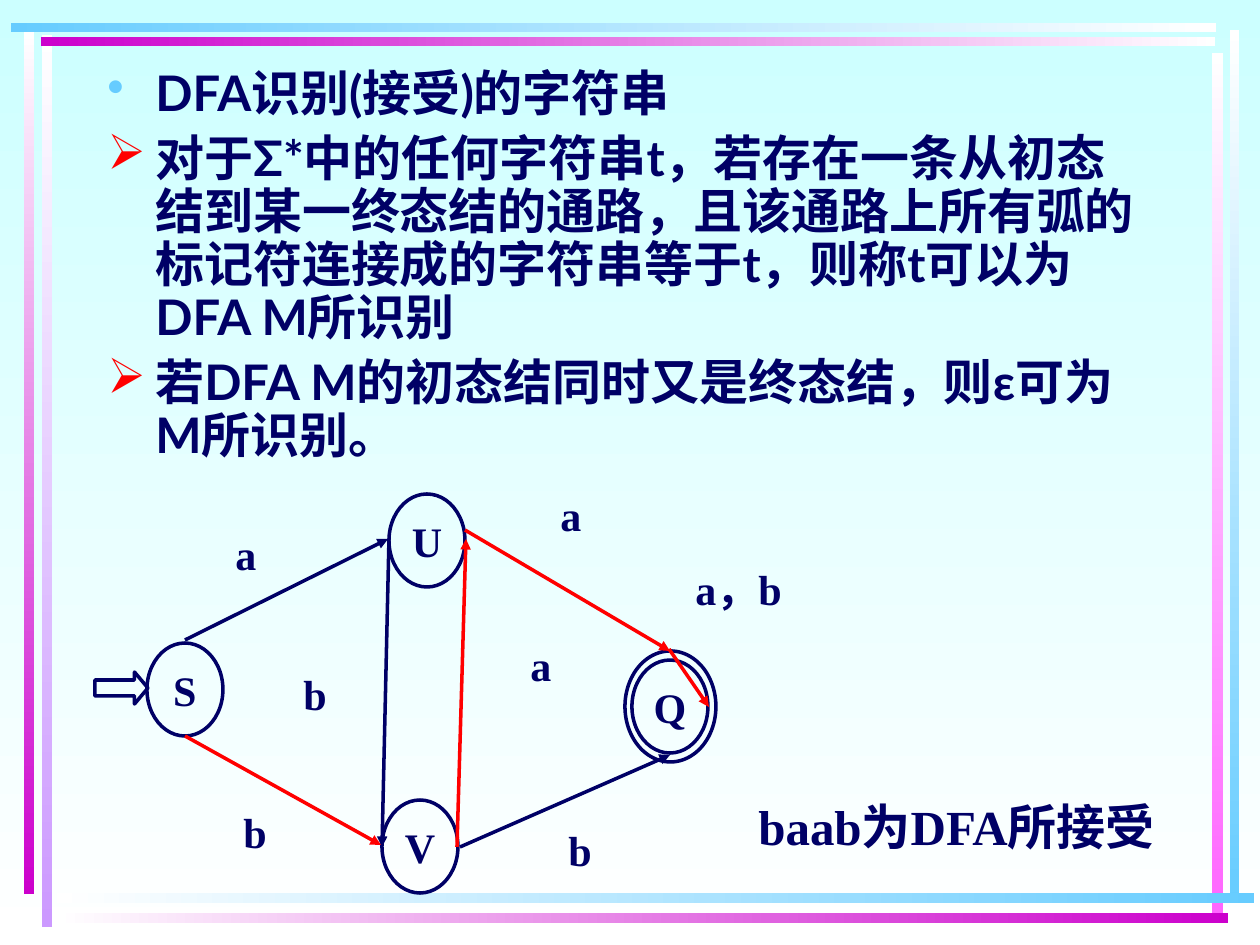
from lxml import etree
from pptx import Presentation
from pptx.dml.color import RGBColor
from pptx.enum.shapes import MSO_CONNECTOR, MSO_SHAPE
from pptx.enum.text import MSO_ANCHOR, MSO_AUTO_SIZE, PP_ALIGN
from pptx.oxml.ns import qn
from pptx.util import Emu, Pt

RECT = MSO_SHAPE.RECTANGLE
OVAL = MSO_SHAPE.OVAL
ARROW = MSO_SHAPE.RIGHT_ARROW
STRAIGHT = MSO_CONNECTOR.STRAIGHT
MIDDLE = MSO_ANCHOR.MIDDLE
CENTER = PP_ALIGN.CENTER
GROW = MSO_AUTO_SIZE.SHAPE_TO_FIT_TEXT

PX = 914400 / 126
DOWN, RIGHT = 270, 0
COLORS = {
    "navy": "000066", "red": "FF0000", "white": "FFFFFF", "ice": "CCFFFF",
    "sky": "66CCFF", "purple": "CC00CC", "lilac": "CC99FF", "pink": "FF66FF",
}
BODY = {"name": "Lato", "size": Pt(28), "bold": True}
LABEL = {"name": "Times New Roman", "size": Pt(24), "bold": True}
REMARK = {**LABEL, "size": Pt(28)}


def px(*lengths):
    return [Emu(round(length * PX)) for length in lengths]


def rgb(name):
    return RGBColor.from_string(COLORS[name])


class SlideBuilder:
    def __init__(self, slide):
        self.slide = slide
        self.shapes = slide.shapes

    def gradient(self, fill, start, end, angle):
        fill.gradient()
        fill.gradient_angle = angle
        for stop, color in zip(fill.gradient_stops, (start, end)):
            stop.color.rgb = rgb(color)

    def style(self, paragraph, look):
        for key, value in look.items():
            setattr(paragraph.font, key, value)
        paragraph.font.color.rgb = rgb("navy")

    def bar(self, box, start, end, angle):
        bar = self.shapes.add_shape(RECT, *px(*box))
        bar.shadow.inherit = False
        bar.line.fill.background()
        self.gradient(bar.fill, start, end, angle)

    def outline(self, kind, box, text=""):
        shape = self.shapes.add_shape(kind, *px(*box))
        shape.shadow.inherit = False
        shape.fill.background()
        shape.line.color.rgb = rgb("navy")
        shape.line.width = Pt(2)
        if text:
            frame = shape.text_frame
            frame.word_wrap = False
            frame.vertical_anchor = MIDDLE
            frame.text = text
            frame.paragraphs[0].alignment = CENTER
            self.style(frame.paragraphs[0], LABEL)
        return shape

    def edge(self, start, end, color):
        edge = self.shapes.add_connector(STRAIGHT, *px(*start, *end))
        edge.line.color.rgb = rgb(color)
        edge.line.width = Pt(2)
        properties = edge.element.spPr
        etree.SubElement(properties.find(qn("a:ln")), qn("a:tailEnd"), type="triangle")
        etree.SubElement(properties, qn("a:effectLst"))

    def label(self, box, text, look):
        frame = self.shapes.add_textbox(*px(*box)).text_frame
        frame.word_wrap = True
        frame.auto_size = GROW
        frame.text = text
        self.style(frame.paragraphs[0], look)

    def bullets(self, box, items):
        frame = self.shapes.add_textbox(*px(*box)).text_frame
        frame.word_wrap = True
        for index, (mark, color, text) in enumerate(items):
            paragraph = frame.add_paragraph() if index else frame.paragraphs[0]
            paragraph.text = text
            properties = paragraph._p.get_or_add_pPr()
            indent = px(48)[0]
            properties.set("marL", str(indent))
            properties.set("indent", str(-indent))
            bullet_color = etree.SubElement(properties, qn("a:buClr"))
            etree.SubElement(bullet_color, qn("a:srgbClr"), val=COLORS[color])
            etree.SubElement(properties, qn("a:buChar"), char=mark)
            paragraph.line_spacing = 0.9
            paragraph.space_before = Pt(7 if index else 0)
            self.style(paragraph, BODY)


def main():
    deck = Presentation()
    deck.slide_width, deck.slide_height = px(1260, 945)
    page = SlideBuilder(deck.slides.add_slide(deck.slide_layouts[6]))

    # Background and frame
    page.gradient(page.slide.background.fill, "ice", "white", DOWN)
    for bar in (
        ((42, 35, 10, 892), "white", "lilac", DOWN),
        ((24, 32, 10, 862), "white", "purple", DOWN),
        ((1230, 30, 9, 873), "white", "sky", DOWN),
        ((1212, 53, 11, 861), "white", "pink", DOWN),
        ((57, 893, 1197, 10), "white", "sky", RIGHT),
        ((57, 913, 1171, 10), "white", "purple", RIGHT),
        ((41, 37, 1174, 9), "purple", "white", RIGHT),
        ((11, 23, 1205, 9), "sky", "white", RIGHT),
    ):
        page.bar(*bar)

    # Definition of acceptance
    page.bullets((95, 63, 1071, 441), (
        ("•", "sky", "DFA识别(接受)的字符串"),
        ("➢", "red", "对于Σ*中的任何字符串t，若存在一条从初态结到某一终态结的通路，"
                     "且该通路上所有弧的标记符连接成的字符串等于t，则称t可以为 DFA M所识别"),
        ("➢", "red", "若DFA M的初态结同时又是终态结，则ε可为M所识别。"),
    ))

    # States, with the start arrow and the outer ring of the final state
    for state, left, top in (("S", 147, 643), ("U", 389, 494),
                             ("V", 382, 800), ("Q", 632, 660)):
        page.outline(OVAL, (left, top, 76, 93), state)
    page.outline(OVAL, (625, 651, 91, 111))
    start_arrow = page.outline(ARROW, (95, 672, 53, 32))
    start_arrow.adjustments[1] = 0.42

    # Transitions, the path of baab in red
    for transition in (
        ((389, 539), (382, 847), "navy"),
        ((457, 847), (466, 539), "red"),
        ((185, 640), (388, 539), "navy"),
        ((465, 530), (670, 651), "red"),
        ((460, 847), (670, 755), "navy"),
        ((185, 736), (381, 845), "red"),
        ((669, 649), (709, 707), "red"),
    ):
        page.edge(*transition)

    # Transition symbols
    for symbol, left, top, width in (
        ("a", 223, 522, 53), ("a", 548, 483, 53), ("a", 518, 633, 53),
        ("b", 556, 818, 45), ("b", 231, 800, 45), ("b", 291, 662, 38),
        ("a，b", 683, 557, 136),
    ):
        page.label((left, top, width, 63), symbol, LABEL)

    # Conclusion
    page.label((746, 790, 473, 72), "baab为DFA所接受", REMARK)

    deck.save("out.pptx")


if __name__ == "__main__":
    main()
